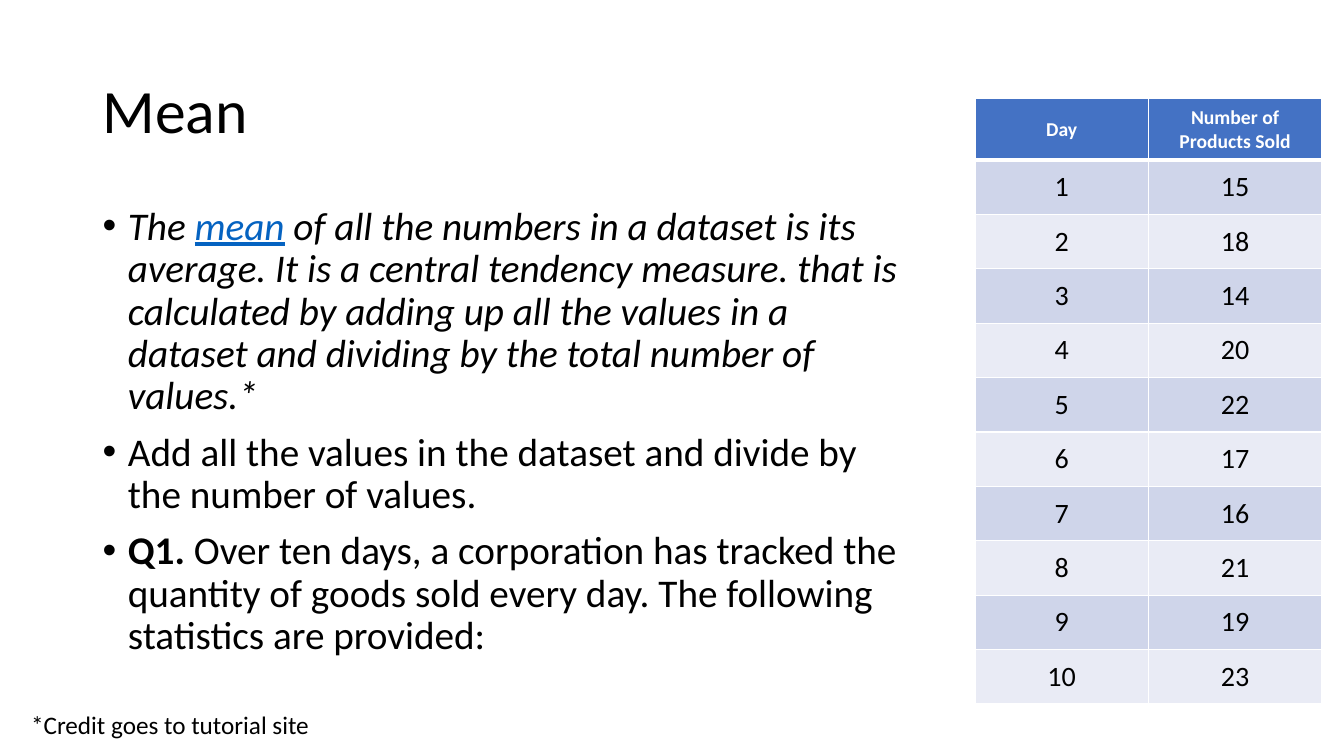
from lxml.etree import SubElement
from pptx import Presentation
from pptx.dml.color import RGBColor
from pptx.enum.text import MSO_ANCHOR, PP_ALIGN
from pptx.oxml import parse_xml
from pptx.oxml.ns import nsdecls, qn
from pptx.util import Inches, Pt

FONT = "Calibri"
BLACK, WHITE, LINK = "000000", "FFFFFF", "0563C1"
HEADER_FILL, BAND_FILLS = "4472C4", ("CFD5EA", "E9EBF5")

BULLETS = [
    [("The ", {"italic": True}),
     ("mean", {"italic": True, "underline": True, "color": LINK}),
     (" of all the numbers in a dataset is its average. It is a central "
      "tendency measure. that is calculated by adding up all the values in a "
      "dataset and dividing by the total number of values.*", {"italic": True})],
    [("Add all the values in the dataset and divide by the number of values.", {})],
    [("Q1. ", {"bold": True}),
     ("Over ten days, a corporation has tracked the quantity of goods sold "
      "every day. The following statistics are provided:", {})],
]
HEADINGS = ("Day", "Number of Products Sold")
PRODUCTS_SOLD = (15, 18, 14, 20, 22, 17, 16, 21, 19, 23)


def rgb(color):
    return RGBColor.from_string(color)


def add_run(p, text, size, color=BLACK, **formats):
    r = p.add_run()
    r.text = text
    r.font.color.rgb = rgb(color)
    for name, value in {"name": FONT, "size": Pt(size), **formats}.items():
        setattr(r.font, name, value)


def add_text_frame(s, box, anchor=MSO_ANCHOR.TOP):
    tf = s.shapes.add_textbox(*map(Inches, box)).text_frame
    tf.word_wrap = True
    tf.vertical_anchor = anchor
    return tf


def add_title(s, box, text):
    p = add_text_frame(s, box, MSO_ANCHOR.MIDDLE).paragraphs[0]
    p.line_spacing = 0.9
    add_run(p, text, 44)


def add_bullets(s, box, bullets):
    tf = add_text_frame(s, box)
    for i, runs in enumerate(bullets):
        p = tf.add_paragraph() if i else tf.paragraphs[0]
        p.line_spacing = 0.9
        p.space_before = Pt(10)
        pPr = p._p.get_or_add_pPr()
        pPr.set("marL", str(Inches(0.25)))
        pPr.set("indent", str(-Inches(0.25)))
        SubElement(pPr, qn("a:buFont"), typeface="Arial")
        SubElement(pPr, qn("a:buChar"), char="•")
        for text, formats in runs:
            add_run(p, text, 28, **formats)


def add_footnote(s, box, text):
    add_run(add_text_frame(s, box).paragraphs[0], text, 18)


def set_borders(cell, **widths):
    """Draw white borders; widths in points are keyed by side L, R, T, B."""
    tcPr = cell._tc.get_or_add_tcPr()
    for i, (side, width) in enumerate(widths.items()):
        tcPr.insert(i, parse_xml(
            f'<a:ln{side} {nsdecls("a")} w="{Pt(width)}"><a:solidFill>'
            f'<a:srgbClr val="{WHITE}"/></a:solidFill></a:ln{side}>'))


def fill_cell(cell, text, fill, margin_y, size, color, bold):
    cell.fill.solid()
    cell.fill.fore_color.rgb = rgb(fill)
    formats = {"vertical_anchor": MSO_ANCHOR.MIDDLE,
               "margin_left": Inches(0.07), "margin_right": Inches(0.07),
               "margin_top": Inches(margin_y), "margin_bottom": Inches(margin_y)}
    for name, value in formats.items():
        setattr(cell, name, value)
    p = cell.text_frame.paragraphs[0]
    p.alignment = PP_ALIGN.CENTER
    p.space_after = Pt(7.5)
    add_run(p, text, size, color, bold=bold)


def add_sales_table(s, box, headings, values):
    rows = [headings, *enumerate(values, 1)]
    table = s.shapes.add_table(len(rows), len(headings), *map(Inches, box)).table
    for i, row in enumerate(rows):
        table.rows[i].height = Inches(0.54 if i else 0.6)
        for j, value in enumerate(row):
            cell = table.cell(i, j)
            if i:
                fill_cell(cell, str(value), BAND_FILLS[(i - 1) % 2], 0.1, 20, BLACK, False)
            else:
                fill_cell(cell, value, HEADER_FILL, 0.07, 14, WHITE, True)
            set_borders(cell, L=1, R=1, T=3 if i == 1 else 1, B=1 if i else 3)


def build_mean_slide(prs):
    s = prs.slides.add_slide(prs.slide_layouts[6])
    add_title(s, (0.92, 0.4, 11.5, 1.45), "Mean")
    add_bullets(s, (0.92, 2, 8.09, 4.76), BULLETS)
    add_footnote(s, (0.21, 6.99, 7.43, 0.4), "*Credit goes to tutorial site")
    add_sales_table(s, (9.67, 0.98, 3.44, 5.99), HEADINGS, PRODUCTS_SOLD)


def main():
    prs = Presentation()
    prs.slide_width, prs.slide_height = Inches(13.33), Inches(7.5)
    build_mean_slide(prs)
    prs.save("out.pptx")


if __name__ == "__main__":
    main()
